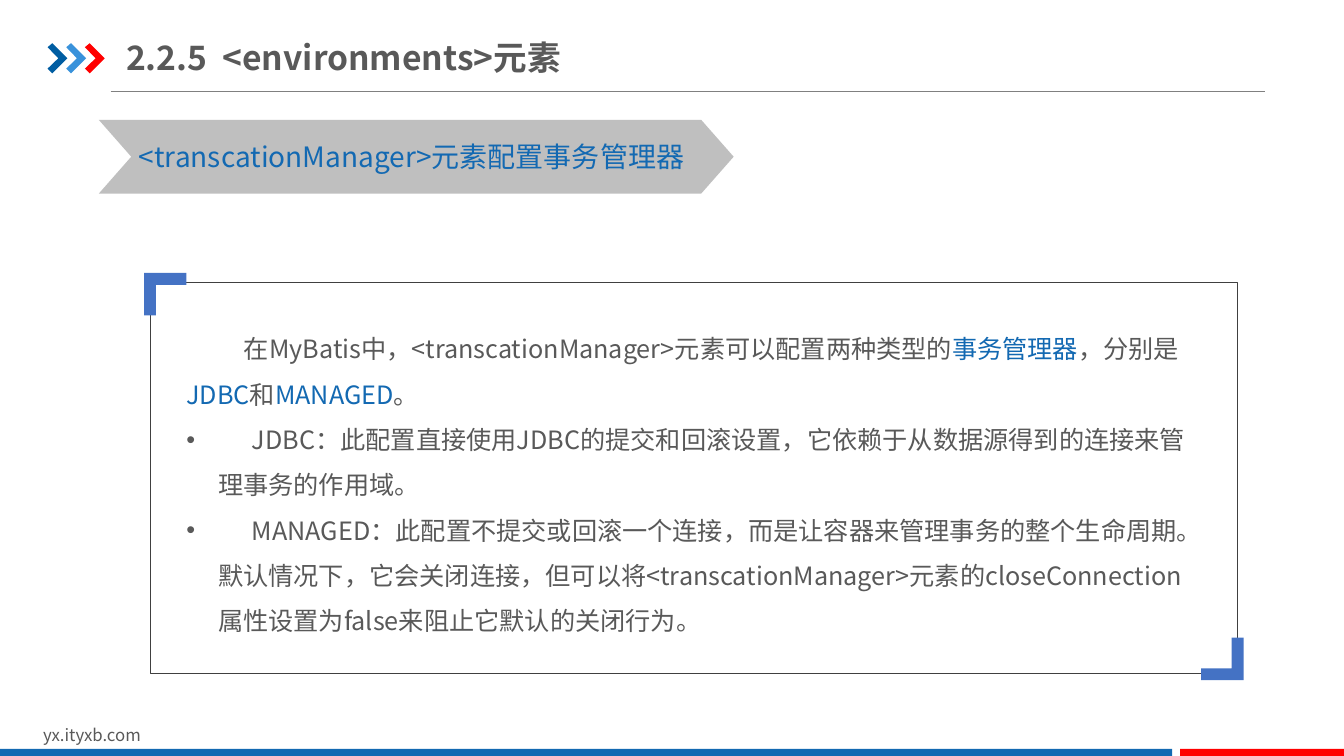
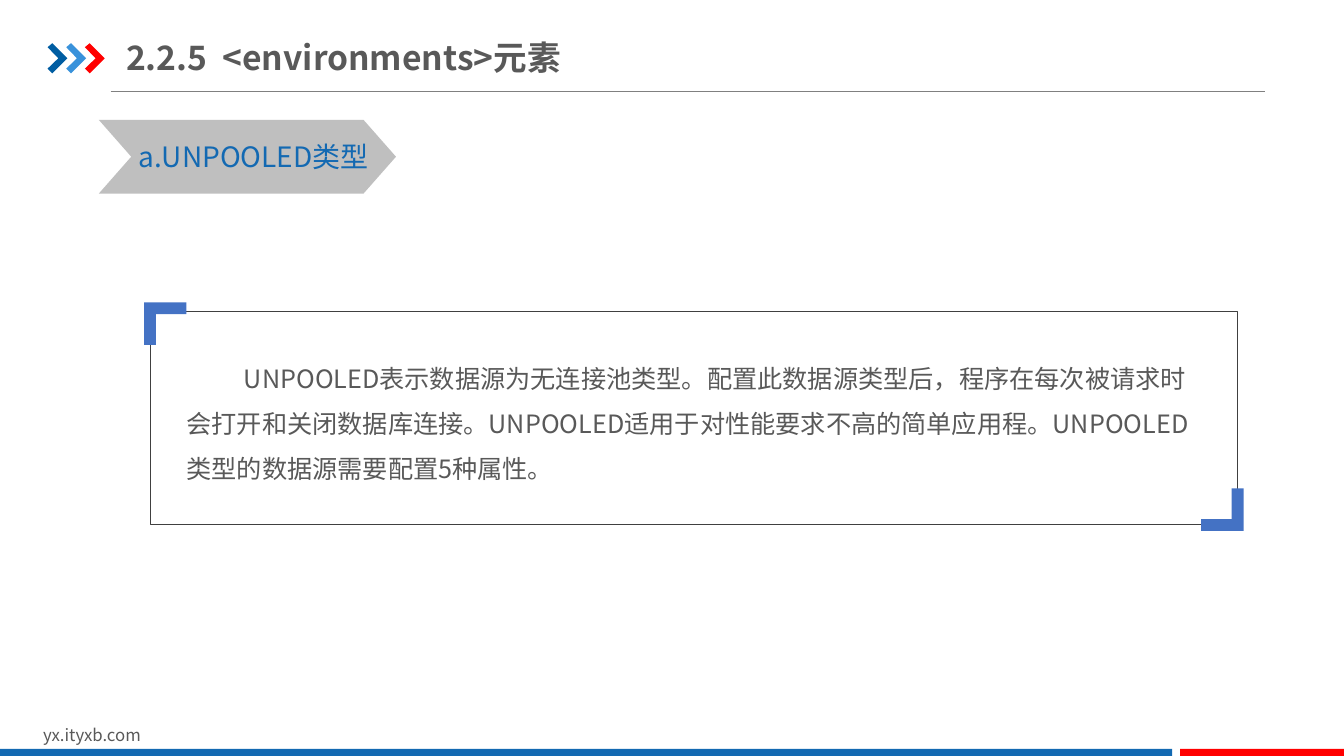
import pptx
import pptx.dml.color
import pptx.enum.shapes
import pptx.enum.text
import pptx.util
from lxml import etree
from pptx.oxml.ns import qn

Cm, Pt = pptx.util.Cm, pptx.util.Pt
RGBColor = pptx.dml.color.RGBColor
SHAPE = pptx.enum.shapes.MSO_SHAPE

BLUE = RGBColor(0x13, 0x69, 0xB2)
NAVY = RGBColor(0x00, 0x5D, 0xA2)
SKY = RGBColor(0x39, 0x92, 0xDB)
RED = RGBColor(0xFF, 0x00, 0x00)
CORNER_BLUE = RGBColor(0x44, 0x72, 0xC4)
TEXT_GREY = RGBColor(0x59, 0x59, 0x59)
RULE_GREY = RGBColor(0x80, 0x80, 0x80)
FRAME_GREY = RGBColor(0x40, 0x40, 0x40)
BANNER_GREY = RGBColor(0xBF, 0xBF, 0xBF)

FONT = "Noto Sans CJK SC"
FOOTER = {"name": FONT, "size": Pt(12)}
TITLE = {"name": FONT, "size": Pt(24), "bold": True}
BANNER = {"name": FONT, "size": Pt(20)}
BODY = {"name": FONT, "size": Pt(18)}

ARROW = [(0, 0.1), (0.12, 0), (0.5, 0.38), (0.12, 0.76), (0, 0.64), (0.27, 0.38)]
CORNER = [(0, 0), (1.07, 0), (1.07, 0.3), (0.3, 0.3), (0.3, 1.07), (0, 1.07)]
PANEL_LEFT, PANEL_WIDTH = 3.78, 27.41

SLIDES = [
    {
        "banner": "<transcationManager>元素配置事务管理器",
        "banner_width": 16, "panel_top": 7.11, "panel_height": 9.86,
        "body": [
            ("indented", [
                ("在MyBatis中，<transcationManager>元素可以配置两种类型的", TEXT_GREY),
                ("事务管理器", BLUE), ("，分别是", TEXT_GREY), ("JDBC", BLUE),
                ("和", TEXT_GREY), ("MANAGED", BLUE), ("。", TEXT_GREY)]),
            ("bullet", [
                ("JDBC：此配置直接使用JDBC的提交和回滚设置，它依赖于从数据源得到的"
                 "连接来管理事务的作用域。", TEXT_GREY)]),
            ("bullet", [
                ("MANAGED：此配置不提交或回滚一个连接，而是让容器来管理事务的整个"
                 "生命周期。默认情况下，它会关闭连接，但可以将<transcationManager>"
                 "元素的closeConnection属性设置为false来阻止它默认的关闭行为。",
                 TEXT_GREY)]),
        ],
    },
    {
        "banner": "a.UNPOOLED类型",
        "banner_width": 7.49, "panel_top": 7.85, "panel_height": 5.36,
        "body": [
            ("indented", [
                ("UNPOOLED表示数据源为无连接池类型。配置此数据源类型后，程序在每次"
                 "被请求时会打开和关闭数据库连接。UNPOOLED适用于对性能要求不高的"
                 "简单应用程。UNPOOLED类型的数据源需要配置5种属性。", TEXT_GREY)]),
        ],
    },
]


def add_span(para, text, style, color):
    span = para.add_run()
    span.text = text
    for name, value in style.items():
        setattr(span.font, name, value)
    span.font.color.rgb = color
    etree.SubElement(span._r.get_or_add_rPr(), qn("a:ea"), typeface=FONT)
    return span


def add_outline(page, left, top, points, color):
    """Draw a filled polygon from points given in cm relative to left, top."""
    corners = [(Cm(left + x), Cm(top + y)) for x, y in points]
    builder = page.shapes.build_freeform(*corners[0], scale=1.0)
    builder.add_line_segments(corners[1:], close=True)
    shape = builder.convert_to_shape()
    shape.shadow.inherit = False
    shape.fill.solid()
    shape.fill.fore_color.rgb = color
    shape.line.fill.background()


deck = pptx.Presentation()
deck.slide_width, deck.slide_height = Cm(33.87), Cm(19.05)

for content in SLIDES:
    page = deck.slides.add_slide(deck.slide_layouts[6])
    panel_top, panel_height = content["panel_top"], content["panel_height"]

    rule = page.shapes.add_connector(
        pptx.enum.shapes.MSO_CONNECTOR.STRAIGHT, Cm(2.79), Cm(2.31), Cm(31.88), Cm(2.31))
    rule.line.color.rgb = RULE_GREY
    rule.line.width = Pt(0.5)
    etree.SubElement(rule._element.spPr, qn("a:effectLst"))

    for index, color in enumerate((NAVY, SKY, RED)):
        add_outline(page, 1.2 + 0.47 * index, 1.09, ARROW, color)

    for kind, left, top, width, height, color in (
        (SHAPE.RECTANGLE, 0, 18.87, 29.54, 0.22, BLUE),
        (SHAPE.RECTANGLE, 29.74, 18.87, 4.13, 0.22, RED),
        (SHAPE.CHEVRON, 2.49, 3.02, content["banner_width"], 1.86, BANNER_GREY),
    ):
        shape = page.shapes.add_shape(kind, Cm(left), Cm(top), Cm(width), Cm(height))
        shape.shadow.inherit = False
        shape.fill.solid()
        shape.fill.fore_color.rgb = color
        shape.line.fill.background()
        if kind == SHAPE.CHEVRON:
            shape.adjustments[0] = 0.44

    for text, left, top, width, height, inset, style, color in (
        ("yx.ityxb.com", 0.84, 18.14, 8.08, 0.76, 0.25, FOOTER, TEXT_GREY),
        ("2.2.5  <environments>元素", 3.18, 0.74, 12.37, 1.4, 0, TITLE, TEXT_GREY),
        (content["banner"], 3.25, 3.38, content["banner_width"] - 1.1, 1.12, 0.25,
         BANNER, BLUE),
    ):
        box = page.shapes.add_textbox(Cm(left), Cm(top), Cm(width), Cm(height))
        box.text_frame.margin_left = box.text_frame.margin_right = Cm(inset)
        box.text_frame.vertical_anchor = pptx.enum.text.MSO_ANCHOR.MIDDLE
        add_span(box.text_frame.paragraphs[0], text, style, color)

    panel = page.shapes.add_shape(
        SHAPE.RECTANGLE, Cm(PANEL_LEFT), Cm(panel_top), Cm(PANEL_WIDTH), Cm(panel_height))
    panel.shadow.inherit = False
    panel.fill.background()
    panel.line.color.rgb = FRAME_GREY
    panel.line.width = Pt(0.25)

    add_outline(page, PANEL_LEFT - 0.15, panel_top - 0.23, CORNER, CORNER_BLUE)
    add_outline(page, PANEL_LEFT + PANEL_WIDTH + 0.15, panel_top + panel_height + 0.17,
                [(-x, -y) for x, y in CORNER], CORNER_BLUE)

    box = page.shapes.add_textbox(
        Cm(4.45), Cm(panel_top + 0.79), Cm(26.08), Cm(panel_height - 1.45))
    box.text_frame.word_wrap = True
    for index, (kind, spans) in enumerate(content["body"]):
        para = box.text_frame.paragraphs[0] if index == 0 else box.text_frame.add_paragraph()
        para.line_spacing = 1.5
        properties = para._p.get_or_add_pPr()
        if kind == "bullet":
            properties.set("marL", str(Cm(0.8)))
            properties.set("indent", str(-Cm(0.8)))
            etree.SubElement(properties, qn("a:buFont"), typeface="Arial")
            etree.SubElement(properties, qn("a:buChar"), char="•")
            # One widened space sets the first line in from the hanging indent.
            gap = add_span(para, " ", BODY, TEXT_GREY)
            gap._r.get_or_add_rPr().set("spc", "2000")
        else:
            properties.set("indent", str(Cm(1.45)))
        for text, color in spans:
            add_span(para, text, BODY, color)

deck.save("out.pptx")
